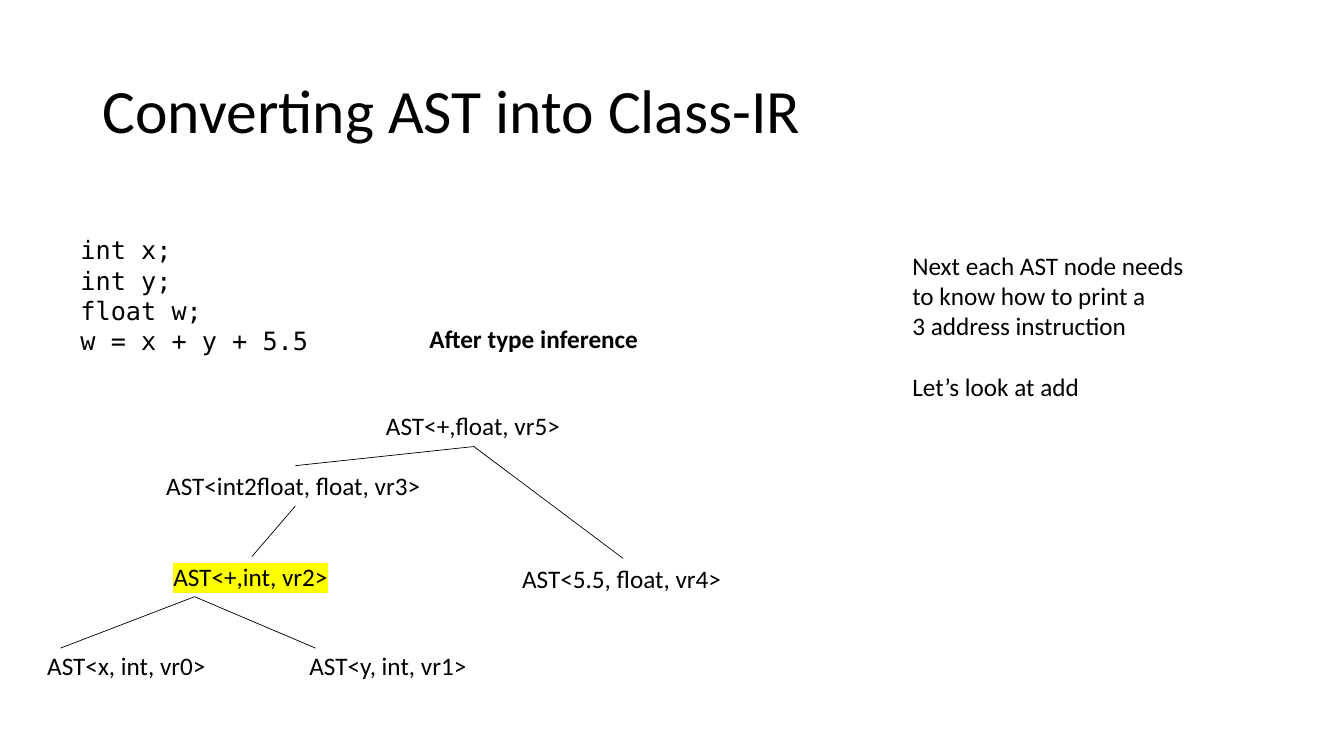
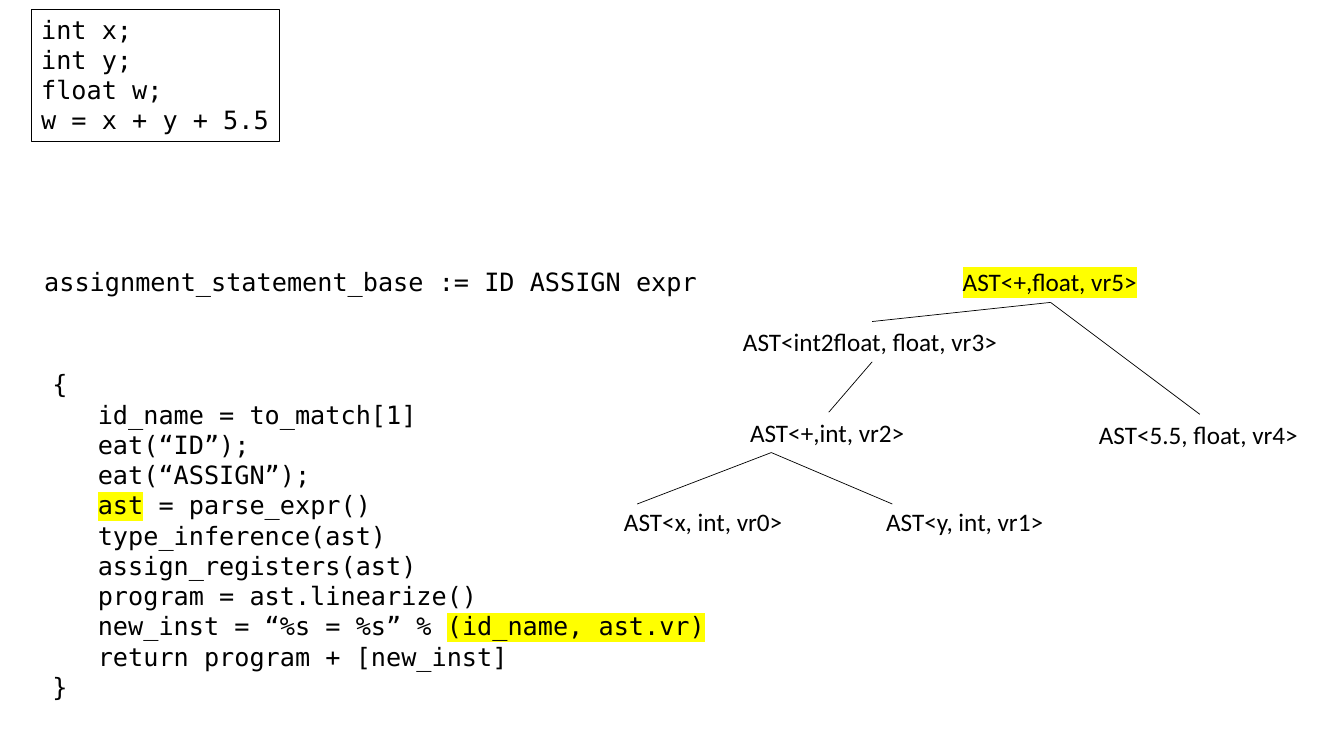
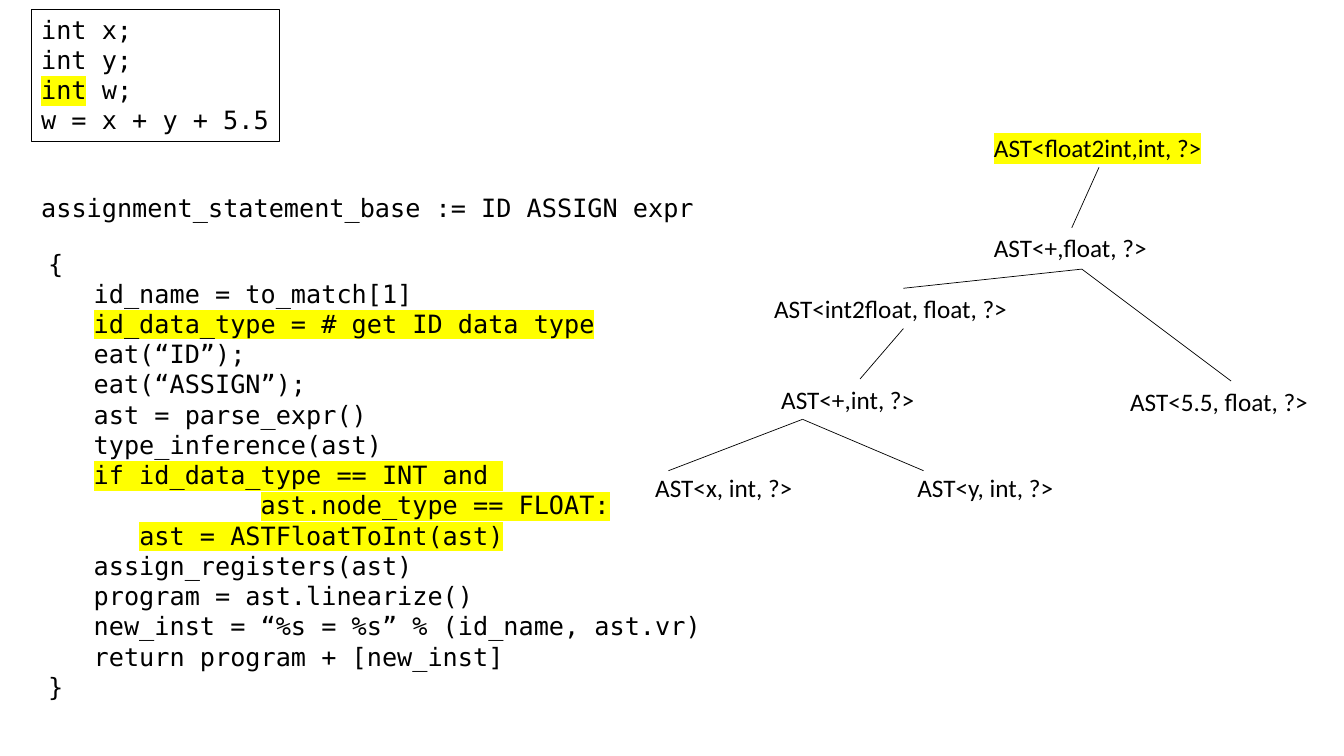
from lxml import etree
from pptx import Presentation
from pptx.dml.color import RGBColor
from pptx.enum.shapes import MSO_CONNECTOR, MSO_SHAPE
from pptx.enum.text import MSO_ANCHOR, MSO_AUTO_SIZE, PP_ALIGN
from pptx.oxml.ns import qn
from pptx.util import Inches, Pt

STRAIGHT = MSO_CONNECTOR.STRAIGHT
RECTANGLE = MSO_SHAPE.RECTANGLE
TOP, MIDDLE = MSO_ANCHOR.TOP, MSO_ANCHOR.MIDDLE
GROW, FIXED = MSO_AUTO_SIZE.SHAPE_TO_FIT_TEXT, MSO_AUTO_SIZE.NONE
LEFT = PP_ALIGN.LEFT

BLACK = RGBColor(0x00, 0x00, 0x00)
YELLOW = RGBColor(0xFF, 0xFF, 0x00)

PROSE = {"name": "Calibri", "size": Pt(18)}
STRONG = {**PROSE, "bold": True}
HEADING = {**PROSE, "size": Pt(44)}
CODE = {"name": "DejaVu Sans Mono", "size": Pt(18)}
LABEL_FRAME = {"word_wrap": False, "auto_size": GROW, "vertical_anchor": TOP}
WRAPPED_FRAME = {**LABEL_FRAME, "word_wrap": True}
TITLE_FRAME = {"word_wrap": True, "auto_size": FIXED, "vertical_anchor": MIDDLE}

MARK = "|"
CODE_COLUMN = 0.1505
LINE_HEIGHT = 0.4

NODES = {
    "root": (3.36, 0, 1.95),
    "cast": (1.18, 0.6, 2.75),
    "sum": (1.25, 1.5, 1.75),
    "constant": (4.71, 1.52, 2.2),
    "x": (0, 2.38, 1.79),
    "y": (2.6, 2.38, 1.78),
}
EDGES = [
    ((4.33, 0.41), (2.56, 0.6)),
    ((4.33, 0.41), (5.81, 1.52)),
    ((2.56, 1), (2.13, 1.5)),
    ((1.56, 1.9), (0.23, 2.41)),
    ((1.56, 1.9), (2.76, 2.41)),
]
NODE_TEXT = {
    "root": "+,float",
    "cast": "int2float, float",
    "sum": "+,int",
    "constant": "5.5, float",
    "x": "x, int",
    "y": "y, int",
}
REGISTERS = {"x": "vr0", "y": "vr1", "sum": "vr2", "cast": "vr3",
             "constant": "vr4", "root": "vr5"}
UNKNOWN = dict.fromkeys(NODES, "?")
UNKNOWN_NARROWING = 0.21

DECLARATION_BOX = (0.31, 0.09, 2.46, 1.31)
FLOAT_DECLARATION = ["int x;", "int y;", "float w;", "w = x + y + 5.5"]
INT_DECLARATION = ["int x;", "int y;", "|int| w;", "w = x + y + 5.5"]
GRAMMAR_RULE = "assignment_statement_base := ID ASSIGN expr"
LINEARIZE_BODY = [
    (0, "{"),
    (3, "id_name = to_match[1]"),
    (3, "eat(“ID”);"),
    (3, "eat(“ASSIGN”);"),
    (3, "|ast| = parse_expr()"),
    (3, "type_inference(ast)"),
    (3, "assign_registers(ast)"),
    (3, "program = ast.linearize()"),
    (3, "new_inst = “%s = %s” % |(id_name, ast.vr)|"),
    (3, "return program + [new_inst]"),
    (0, "}"),
]
CONVERSION_BODY = [
    (0, "{"),
    (3, "id_name = to_match[1]"),
    (3, "|id_data_type = # get ID data type|"),
    (3, "eat(“ID”);"),
    (3, "eat(“ASSIGN”);"),
    (3, "ast = parse_expr()"),
    (3, "type_inference(ast)"),
    (3, "|if id_data_type == INT and |"),
    (14, "|\tast.node_type == FLOAT:|"),
    (6, "|\tast = ASTFloatToInt(ast)|"),
    (3, "assign_registers(ast)"),
    (3, "program = ast.linearize()"),
    (3, "new_inst = “%s = %s” % (id_name, ast.vr)"),
    (3, "return program + [new_inst]"),
    (0, "}"),
]


def apply(target, values):
    for key, value in values.items():
        setattr(target, key, value)


def inches(*lengths):
    return [Inches(length) for length in lengths]


def highlight(run):
    properties = run._r.get_or_add_rPr()
    marker = etree.Element(qn("a:highlight"))
    etree.SubElement(marker, qn("a:srgbClr"), val=str(YELLOW))
    properties.find(qn("a:solidFill")).addnext(marker)


def write_line(paragraph, line, font):
    paragraph.alignment = LEFT
    for position, piece in enumerate(line.split(MARK)):
        if piece:
            run = paragraph.add_run()
            run.text = piece
            run.font.color.rgb = BLACK
            apply(run.font, font)
            if position % 2:
                highlight(run)


def write_lines(shape, lines, font, frame_format):
    frame = shape.text_frame
    apply(frame, frame_format)
    for number, line in enumerate(lines):
        paragraph = frame.add_paragraph() if number else frame.paragraphs[0]
        write_line(paragraph, line, font)
    return frame.paragraphs


def text_block(slide, box, lines, font=PROSE, frame_format=LABEL_FRAME):
    return write_lines(slide.shapes.add_textbox(*inches(*box)), lines, font, frame_format)


def slide_title(slide, box, title):
    text_block(slide, box, [title], HEADING, TITLE_FRAME)[0].line_spacing = 0.9


def side_note(slide, box, lines, closing):
    text_block(slide, box, lines + [closing])[-1].space_before = Pt(22)


def framed_declaration(slide, box, lines):
    frame = slide.shapes.add_shape(RECTANGLE, *inches(*box))
    frame.shadow.inherit = False
    frame.fill.background()
    frame.line.color.rgb = BLACK
    frame.line.width = Pt(0.75)
    write_lines(frame, lines, CODE, LABEL_FRAME)


def indent(paragraph, columns, tabbed):
    properties = paragraph._p.get_or_add_pPr()
    offset = str(Inches(columns * CODE_COLUMN))
    if tabbed:
        stops = etree.SubElement(properties, qn("a:tabLst"))
        etree.SubElement(stops, qn("a:tab"), pos=offset, algn="l")
    else:
        properties.set("marL", offset)
        properties.set("indent", "0")


def code_body(slide, box, body):
    paragraphs = text_block(slide, box, [line for _, line in body], CODE, WRAPPED_FRAME)
    for paragraph, (columns, line) in zip(paragraphs, body):
        if columns:
            indent(paragraph, columns, "\t" in line)


def grammar_rule(slide, left, top):
    text_block(slide, (left, top, 7.65, LINE_HEIGHT), [GRAMMAR_RULE], CODE, WRAPPED_FRAME)


def branch(slide, start, end):
    edge = slide.shapes.add_connector(STRAIGHT, *inches(*start, *end))
    edge.line.color.rgb = BLACK
    edge.line.width = Pt(0.5)
    etree.SubElement(edge._element.spPr, qn("a:effectLst"))


def syntax_tree(slide, left, top, registers, marked=None):
    narrowing = UNKNOWN_NARROWING if registers is UNKNOWN else 0
    for (x1, y1), (x2, y2) in EDGES:
        branch(slide, (left + x1, top + y1), (left + x2, top + y2))
    for node, (x, y, width) in NODES.items():
        label = f"AST<{NODE_TEXT[node]}, {registers[node]}>"
        if node == marked:
            label = MARK + label + MARK
        text_block(slide, (left + x, top + y, width - narrowing, LINE_HEIGHT), [label])


def conversion_root(slide, left, top):
    text_block(slide, (left, top, 2.28, LINE_HEIGHT), ["|AST<float2int,int, ?>|"])
    branch(slide, (left + 1.14, top + 0.4), (left + 0.87, top + 1))


def class_ir_slide(slide):
    slide_title(slide, (0.92, 0.4, 11.5, 1.45), "Converting AST into Class-IR")
    text_block(slide, (0.7, 2.28, 2.46, 1.31), FLOAT_DECLARATION, CODE)
    text_block(slide, (4.16, 3.16, 2.3, LINE_HEIGHT), ["After type inference"], STRONG)
    syntax_tree(slide, 0.37, 4.02, REGISTERS, "sum")
    side_note(slide, (8.95, 2.43, 2.92, 1.62),
              ["Next each AST node needs", "to know how to print a", "3 address instruction"],
              "Let’s look at add")


def linearize_slide(slide):
    framed_declaration(slide, DECLARATION_BOX, FLOAT_DECLARATION)
    grammar_rule(slide, 0.34, 2.59)
    code_body(slide, (0.42, 3.61, 7.65, 3.43), LINEARIZE_BODY)
    syntax_tree(slide, 6.09, 2.59, REGISTERS, "root")


def conversion_slide(slide):
    framed_declaration(slide, DECLARATION_BOX, INT_DECLARATION)
    grammar_rule(slide, 0.31, 1.86)
    code_body(slide, (0.38, 2.41, 9.56, 4.64), CONVERSION_BODY)
    conversion_root(slide, 9.76, 1.26)
    syntax_tree(slide, 6.4, 2.26, UNKNOWN)


deck = Presentation()
deck.slide_width, deck.slide_height = inches(13.33, 7.5)
blank = deck.slide_layouts[6]
for build in (class_ir_slide, linearize_slide, conversion_slide):
    build(deck.slides.add_slide(blank))
deck.save("out.pptx")
